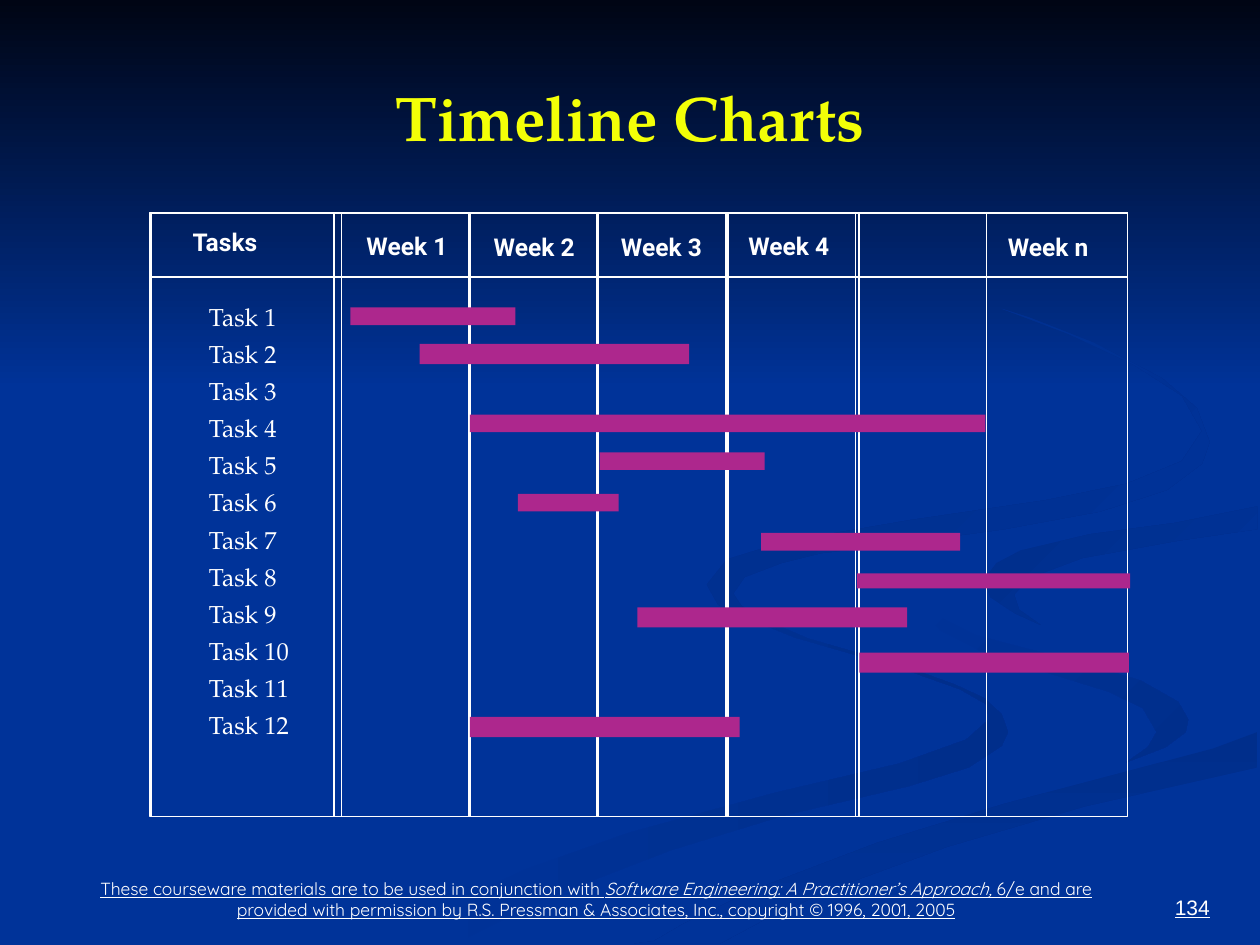
from dataclasses import dataclass

from lxml import etree
from pptx import Presentation
from pptx.dml.color import RGBColor
from pptx.enum.shapes import MSO_CONNECTOR, MSO_SHAPE
from pptx.enum.text import MSO_ANCHOR, PP_ALIGN
from pptx.oxml.ns import qn
from pptx.util import Inches, Pt

RECT = MSO_SHAPE.RECTANGLE
STRAIGHT = MSO_CONNECTOR.STRAIGHT
LEFT, CENTER, RIGHT = PP_ALIGN.LEFT, PP_ALIGN.CENTER, PP_ALIGN.RIGHT
TOP, MIDDLE, BOTTOM = MSO_ANCHOR.TOP, MSO_ANCHOR.MIDDLE, MSO_ANCHOR.BOTTOM


@dataclass(frozen=True)
class Theme:
    night: str = "000514"
    blue: str = "003399"
    wave: str = "002E8B"
    white: str = "FFFFFF"
    yellow: str = "F3FF07"
    bar: str = "AD278D"
    serif: str = "TeX Gyre Pagella"
    sans: str = "Roboto"
    note: str = "Quicksand"
    plain: str = "Arial"
    title: int = 36
    label: int = 14
    page: int = 12
    small: int = 10


THEME = Theme()

# Outline points in inches from the slide corner, first colour, second colour, angle
WAVES = [
    ([(7.81, 5.54), (7.57, 5.43), (7.15, 5.28), (6.42, 5.07), (6.02, 4.9),
      (5.83, 4.77), (5.75, 4.59), (5.7, 4.72), (5.86, 4.88), (6.31, 5.06),
      (7.14, 5.3), (7.62, 5.47), (7.83, 5.59), (7.85, 5.71), (7.67, 5.87),
      (7.14, 6.06), (6.16, 6.29), (4.99, 6.61), (4.17, 6.9), (3.38, 7.27),
      (3, 7.49), (3.61, 7.49), (4.31, 7.14), (5.32, 6.75), (6.23, 6.47),
      (7.21, 6.24), (7.69, 6.09), (7.95, 5.92), (8, 5.81), (7.95, 5.67)],
     THEME.blue, THEME.wave, 0),
    ([(9.43, 5.71), (9.35, 5.57), (9.05, 5.4), (8.5, 5.24), (7.74, 5.04),
      (7.33, 4.83), (7.24, 4.64), (7.27, 4.79), (7.46, 5), (7.81, 5.18),
      (8.38, 5.36), (8.8, 5.49), (9.07, 5.62), (9.18, 5.81), (9.11, 5.93),
      (8.94, 6.05), (9.25, 5.93), (9.41, 5.81)],
     THEME.blue, THEME.wave, 315),
    ([(5.03, 7.49), (5.71, 7.49), (6.14, 7.26), (6.7, 7.02), (7.52, 6.72),
      (8.61, 6.4), (9.98, 6.09), (9.98, 5.81), (9.63, 5.94), (9.03, 6.1),
      (7.97, 6.38), (6.96, 6.69), (5.99, 7.06), (5.43, 7.33), (5.19, 7.47)],
     THEME.wave, THEME.blue, 270),
    ([(7.81, 4.6), (7.86, 4.74), (8.06, 4.87), (8.26, 4.96), (8.09, 4.84),
      (8.05, 4.72), (8.16, 4.59), (8.59, 4.43), (9.36, 4.29), (9.98, 4.2),
      (9.98, 4.02), (9.33, 4.15), (8.65, 4.24), (8.1, 4.37), (7.91, 4.47)],
     THEME.wave, THEME.blue, 315),
    ([(6.95, 4.34), (7.97, 4.2), (8.73, 4.06), (9.26, 3.89), (9.54, 3.68),
      (9.6, 3.51), (9.5, 3.24), (9.22, 3), (8.68, 2.72), (8.17, 2.52),
      (7.95, 2.45), (8.48, 2.65), (8.99, 2.89), (9.38, 3.14), (9.54, 3.42),
      (9.38, 3.66), (8.94, 3.84), (8.3, 3.97), (7.21, 4.13), (6.22, 4.3),
      (5.77, 4.44), (5.61, 4.64), (5.7, 4.8), (5.95, 4.92), (6.18, 5),
      (5.91, 4.85), (5.82, 4.71), (5.91, 4.58), (6.2, 4.47), (6.52, 4.39)],
     THEME.wave, THEME.blue, 315),
]

# Left edges of the week columns, then labels, in inches from the chart corner
COLUMNS = (1.52, 2.54, 3.56, 4.59, 5.63)
HEADS = [("Tasks", 0.24, 0.09), ("Week 1", 1.62, 0.12), ("Week 2", 2.63, 0.13),
         ("Week 3", 3.64, 0.13), ("Week 4", 4.65, 0.12), ("Week n", 6.71, 0.13)]
TASKS = 12
# Task number: left, top, width, height
BARS = {
    1: (1.59, 0.75, 1.31, 0.14),
    2: (2.14, 1.04, 2.14, 0.16),
    4: (2.54, 1.6, 4.09, 0.14),
    5: (3.57, 1.9, 1.31, 0.14),
    6: (2.92, 2.23, 0.8, 0.14),
    7: (4.85, 2.54, 1.58, 0.14),
    8: (5.61, 2.86, 2.17, 0.12),
    9: (3.87, 3.13, 2.14, 0.16),
    10: (5.63, 3.49, 2.14, 0.16),
    12: (2.54, 4, 2.14, 0.16),
}


def rgb(code):
    return RGBColor.from_string(code)


def shade(shape, first, last, angle):
    """Fill a shape with a two-colour gradient and no line."""
    shape.shadow.inherit = False
    shape.line.fill.background()
    shape.fill.gradient()
    shape.fill.gradient_angle = angle
    for stop, code in zip(shape.fill.gradient_stops, (first, last)):
        stop.color.rgb = rgb(code)


def add_rect(slide, box, fill=None, line=None):
    shape = slide.shapes.add_shape(RECT, *map(Inches, box))
    shape.shadow.inherit = False
    if fill:
        shape.fill.solid()
        shape.fill.fore_color.rgb = rgb(fill)
    else:
        shape.fill.background()
    if line:
        shape.line.color.rgb = rgb(line)
        shape.line.width = Pt(1)
    else:
        shape.line.fill.background()
    return shape


def write(frame, runs, font, size, color=THEME.white, align=LEFT, anchor=TOP,
          bold=False, under=False, space=1.0):
    """Put (text, italic) runs into the first paragraph of a frame."""
    frame.word_wrap = True
    frame.vertical_anchor = anchor
    par = frame.paragraphs[0]
    par.alignment = align
    par.line_spacing = space
    for text, slant in runs:
        run = par.add_run()
        run.text = text
        run.font.name = font
        run.font.size = Pt(size)
        run.font.color.rgb = rgb(color)
        run.font.bold = bold
        run.font.italic = slant
        run.font.underline = under


def add_text(slide, box, runs, font, size, **style):
    frame = slide.shapes.add_textbox(*map(Inches, box)).text_frame
    write(frame, runs, font, size, **style)


def add_back(slide, box):
    left, top, width, height = box
    fill = slide.background.fill
    fill.solid()
    fill.fore_color.rgb = rgb(THEME.blue)
    sky = add_rect(slide, (left, top, width, 3.09))
    shade(sky, THEME.night, THEME.blue, 270)
    for points, first, last, angle in WAVES:
        spots = [(Inches(left + x), Inches(top + y)) for x, y in points]
        form = slide.shapes.build_freeform(*spots[0])
        form.add_line_segments(spots[1:], close=True)
        shade(form.convert_to_shape(), first, last, angle)


def add_title(slide, box):
    title = slide.shapes.title
    title.left, title.top, title.width, title.height = map(Inches, box)
    write(title.text_frame, [("Timeline Charts", False)], THEME.serif,
          THEME.title, color=THEME.yellow, align=CENTER, anchor=MIDDLE, bold=True)
    # Bring the title in front of the background shapes
    title._element.getparent().append(title._element)


def add_chart(slide, box):
    left, top, width, height = box
    frames = [box, (left, top, width, 0.51), (left + 0.01, top, 1.51, height)]
    frames += [(left + x, top, 1.01, height) for x in COLUMNS]
    for frame in frames:
        add_rect(slide, frame, line=THEME.white)

    x = Inches(left + 1.46)
    rule = slide.shapes.add_connector(STRAIGHT, x, Inches(top + 0.01),
                                      x, Inches(top + height))
    rule.line.color.rgb = rgb(THEME.white)
    rule.line.width = Pt(1)
    etree.SubElement(rule._element.spPr, qn("a:effectLst"))

    for text, dx, dy in HEADS:
        add_text(slide, (left + dx, top + dy, 0.95, 0.31), [(text, False)],
                 THEME.sans, THEME.label, bold=True, space=0.9)
    for row in range(TASKS):
        spot = (left + 0.37, top + 0.68 + row * 0.295, 0.95, 0.31)
        add_text(slide, spot, [(f"Task {row + 1}", False)],
                 THEME.serif, THEME.label, space=0.9)
    for dx, dy, wide, high in BARS.values():
        add_rect(slide, (left + dx, top + dy, wide, high), fill=THEME.bar)


def add_foot(slide, box):
    left, top, width, height = box
    runs = [
        ("These courseware materials are to be used in conjunction with ", False),
        ("Software Engineering: A Practitioner’s Approach,", True),
        (" 6/e and are provided with permission by R.S. Pressman & Associates, "
         "Inc., copyright © 1996, 2001, 2005", False),
    ]
    add_text(slide, (left, top, 8.42, height), runs, THEME.note, THEME.small,
             align=CENTER, anchor=BOTTOM, under=True)
    add_text(slide, (left + width - 0.69, top, 0.69, height), [("134", False)],
             THEME.plain, THEME.page, align=RIGHT, anchor=BOTTOM, under=True)


def main():
    deck = Presentation()
    deck.slide_width, deck.slide_height = Inches(10), Inches(7.5)
    slide = deck.slides.add_slide(deck.slide_layouts[5])
    add_back(slide, (0, 0, 10, 7.5))
    add_title(slide, (0.5, 0.3, 9, 1.25))
    add_chart(slide, (1.19, 1.69, 7.76, 4.79))
    add_foot(slide, (0.52, 6.83, 9.18, 0.52))
    deck.save("out.pptx")


if __name__ == "__main__":
    main()
